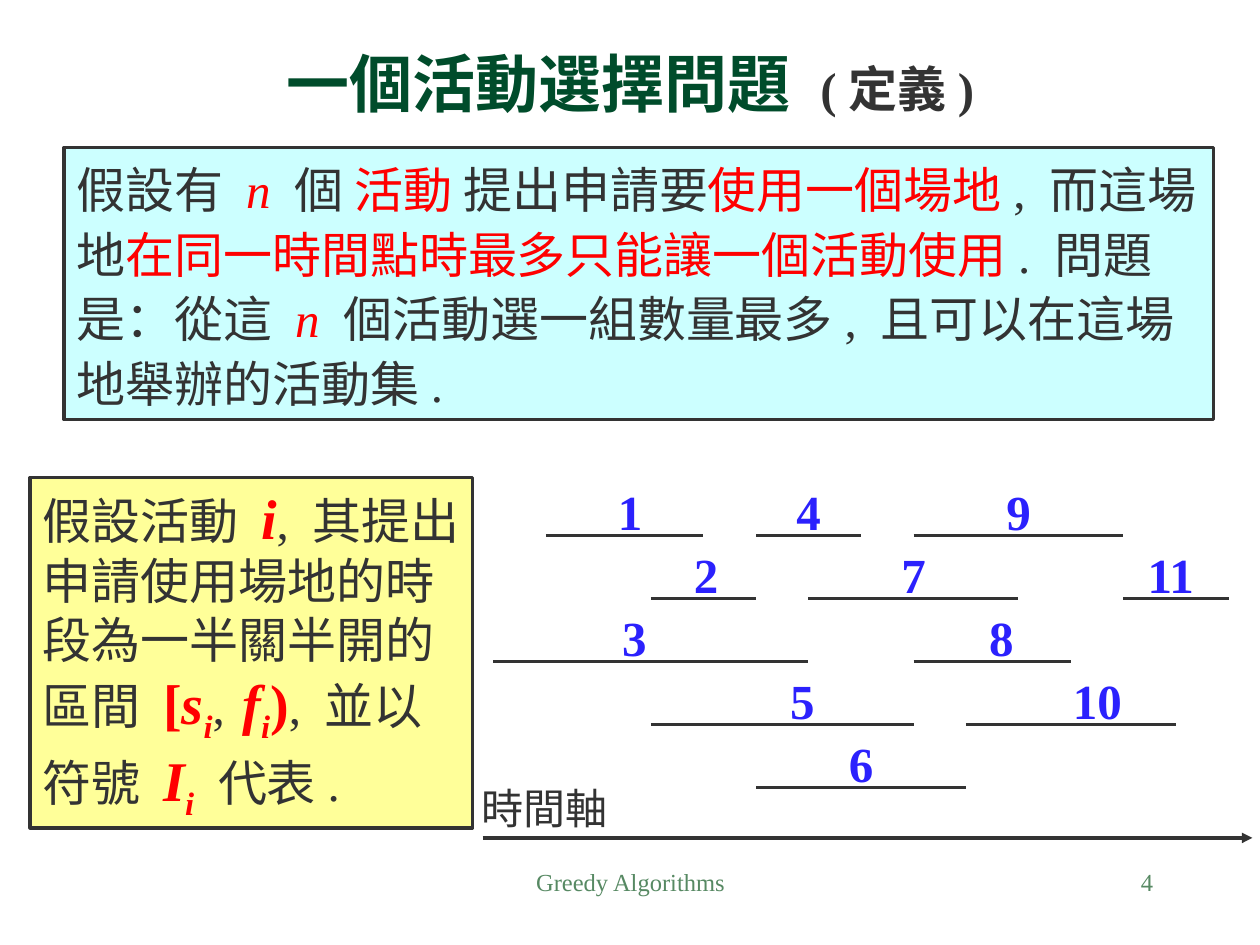
from pptx import Presentation
from pptx.dml.color import RGBColor
from pptx.enum.shapes import MSO_CONNECTOR, MSO_SHAPE
from pptx.enum.text import MSO_ANCHOR, PP_ALIGN
from pptx.oxml.ns import qn
from pptx.util import Inches, Pt
from lxml.etree import SubElement

INK, RED, GREEN, BLUE, SAGE = "333333", "FF0000", "004C2B", "2B21FD", "578963"


def color(hex_text):
    return RGBColor.from_string(hex_text)


def write(box, spans, align=PP_ALIGN.LEFT, anchor=MSO_ANCHOR.TOP, wrap=True):
    """Fill a box with spans of (text, size, colour, style); style holds b, i or _ (subscript)."""
    frame = box.text_frame
    frame.word_wrap, frame.vertical_anchor = wrap, anchor
    para = frame.paragraphs[0]
    para.alignment = align
    for text, size, hex_text, style in spans:
        span = para.add_run()
        span.text = text
        span.font.name, span.font.size = "Times New Roman", Pt(size)
        span.font.color.rgb = color(hex_text)
        span.font.bold, span.font.italic = "b" in style, "i" in style
        if "_" in style:
            span.font._element.set("baseline", "-25000")
    return para


deck = Presentation()
deck.slide_width, deck.slide_height = Inches(10), Inches(7.5)
page = deck.slides.add_slide(deck.slide_layouts[5])
shapes = page.shapes

# Title
title = shapes.title
title.left, title.top = Inches(0.67), Inches(0.42)
title.width, title.height = Inches(8.67), Inches(0.58)
write(title, [("一個活動選擇問題 ", 36, GREEN, "b"), ("(定義)", 28, INK, "b")],
      PP_ALIGN.CENTER, MSO_ANCHOR.BOTTOM)

# Definition and notation panels
definition = [
    ("假設有 ", 28, INK, ""), ("n ", 28, RED, "i"), ("個 ", 28, INK, ""),
    ("活動", 28, RED, ""), (" 提出申請要", 28, INK, ""),
    ("使用一個場地", 28, RED, ""), (", 而這場地", 28, INK, ""),
    ("在同一時間點時最多只能讓一個活動使用", 28, RED, ""),
    (". 問題是：從這 ", 28, INK, ""), ("n ", 28, RED, "i"),
    ("個活動選一組數量最多, 且可以在這場地舉辦的活動集.", 28, INK, ""),
]
notation = [
    ("假設活動 ", 28, INK, ""), ("i", 32, RED, "bi"),
    (", 其提出申請使用場地的時段為一半關半開的區間 ", 28, INK, ""),
    ("[", 32, RED, "b"), ("s", 32, RED, "bi"), ("i", 32, RED, "bi_"),
    (",", 28, INK, ""), ("  ", 20, INK, "b"),
    ("f", 32, RED, "bi"), ("i", 32, RED, "bi_"), (")", 32, RED, "b"),
    (", 並以符號 ", 28, INK, ""), ("I", 32, RED, "bi"), ("i", 32, RED, "bi_"),
    (" 代表.", 28, INK, ""),
]
panels = [
    (0.51, 1.17, 9.12, 2.16, "CCFFFF", definition, MSO_ANCHOR.TOP, 1.1),
    (0.24, 3.79, 3.51, 2.78, "FFFF99", notation, MSO_ANCHOR.MIDDLE, 1.0),
]
for left, top, width, height, fill, spans, anchor, spacing in panels:
    panel = shapes.add_shape(MSO_SHAPE.RECTANGLE, Inches(left), Inches(top),
                             Inches(width), Inches(height))
    panel.shadow.inherit = False
    panel.fill.solid()
    panel.fill.fore_color.rgb = color(fill)
    panel.line.color.rgb = color(INK)
    panel.line.width = Pt(2)
    write(panel, spans, anchor=anchor).line_spacing = spacing

# Activity chart: one column per time unit, one row per track
ORIGIN, COLUMN = 3.5, 5 / 12
FIRST_ROW, ROW = 4.25, 0.5
activities = [  # number, row, start, finish, centre of the number
    (1, 0, 2, 5, 3.6), (2, 1, 4, 6, 5.05), (3, 2, 1, 7, 3.68), (4, 0, 6, 8, 7),
    (5, 3, 4, 9, 6.88), (6, 4, 6, 10, 8), (7, 1, 7, 11, 9), (8, 2, 9, 12, 10.67),
    (9, 0, 9, 13, 11), (10, 3, 10, 14, 12.5), (11, 1, 13, 15, 13.9),
]
lines = []
labels = [("時間軸", 24, INK, "", 3.72, 6.16, 1.2, 0.5)]
for number, row, start, finish, centre in activities:
    y = FIRST_ROW + row * ROW
    lines.append((ORIGIN + start * COLUMN, ORIGIN + finish * COLUMN, y))
    width = 0.39 if number < 10 else 0.59
    labels.append((str(number), 28, BLUE, "b",
                   ORIGIN + centre * COLUMN - width / 2, y - 0.48, width, 0.57))
lines.append((3.83, 9.94, 6.65))  # time axis

for start, finish, y in lines:
    line = shapes.add_connector(MSO_CONNECTOR.STRAIGHT, Inches(start), Inches(y),
                                Inches(finish), Inches(y))
    line.line.color.rgb = color(INK)
    line.line.width = Pt(2)
    SubElement(line._element.spPr, qn("a:effectLst"))
# The axis is the last line drawn
SubElement(line.line._get_or_add_ln(), qn("a:tailEnd")).set("type", "triangle")

for text, size, hex_text, style, left, top, width, height in labels:
    box = shapes.add_textbox(Inches(left), Inches(top), Inches(width), Inches(height))
    write(box, [(text, size, hex_text, style)], PP_ALIGN.CENTER, MSO_ANCHOR.MIDDLE, False)

# Footer and page number
footers = [("Greedy Algorithms", 3.42, 3.17, PP_ALIGN.CENTER), ("4", 7.17, 2.08, PP_ALIGN.RIGHT)]
for text, left, width, align in footers:
    box = shapes.add_textbox(Inches(left), Inches(6.83), Inches(width), Inches(0.5))
    write(box, [(text, 14, SAGE, "")], align)

deck.save("out.pptx")
